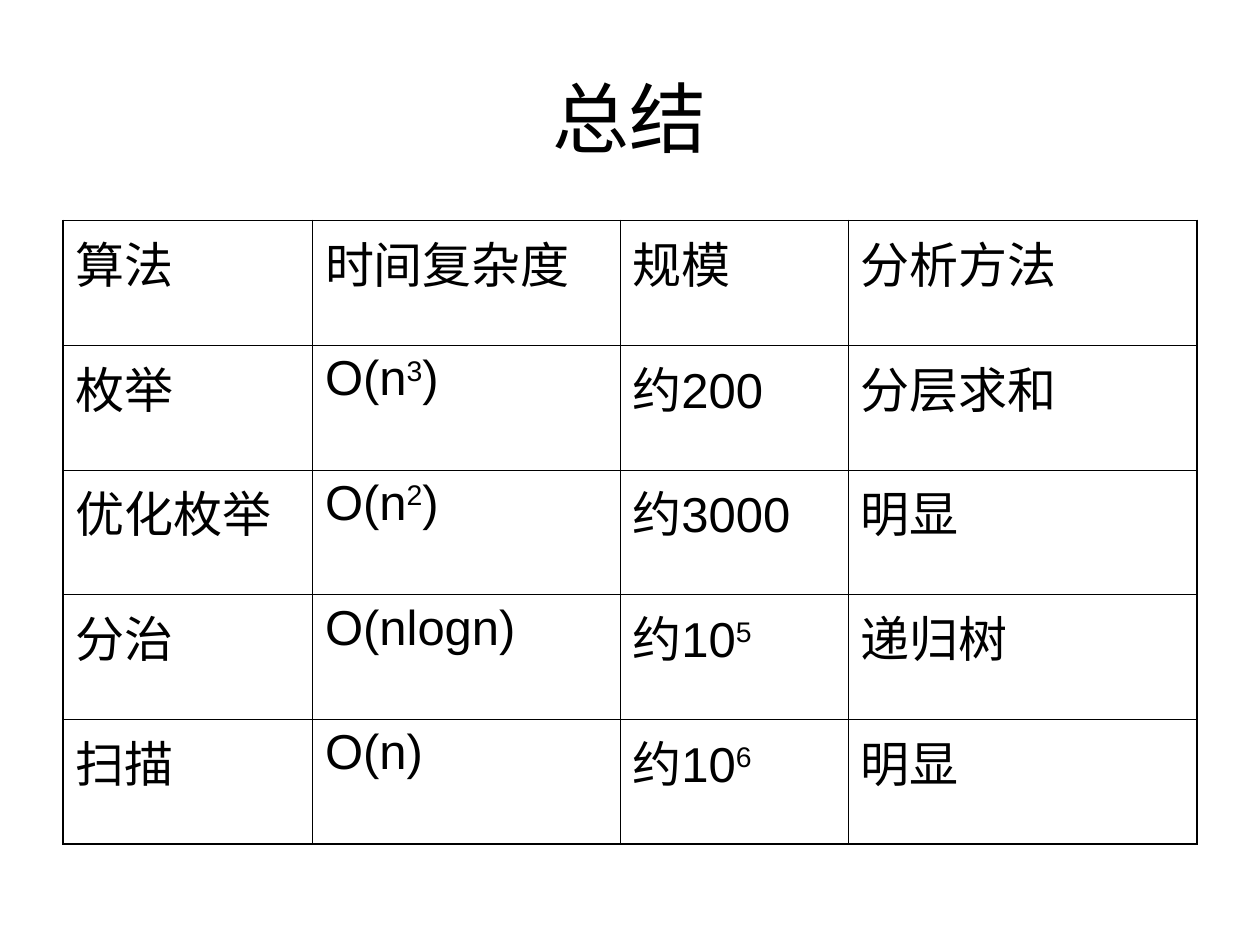
import pptx
import pptx.dml.color
import pptx.enum.text
import pptx.oxml.ns
import pptx.util
import lxml.etree

Pt = pptx.util.Pt
BLACK = pptx.dml.color.RGBColor(0, 0, 0)
FONT = "Arial"
THIN, THICK = 0.45, 1.08
WIDTHS = [142.56, 175.68, 130.32, 199.44]
HEIGHT = 71.28
# Text between two carets is superscript.
ROWS = [
    ["算法", "时间复杂度", "规模", "分析方法"],
    ["枚举", "O(n^3^)", "约200", "分层求和"],
    ["优化枚举", "O(n^2^)", "约3000", "明显"],
    ["分治", "O(nlogn)", "约10^5^", "递归树"],
    ["扫描", "O(n)", "约10^6^", "明显"],
]


def write(para, text, size):
    """Add text as runs, raising each part between carets."""
    for i, part in enumerate(text.split("^")):
        if not part:
            continue
        run = para.add_run()
        run.text = part
        run.font.name = FONT
        run.font.size = Pt(size)
        run.font.color.rgb = BLACK
        if i % 2:
            run._r.get_or_add_rPr().set("baseline", "30000")


def border(cell, side, width):
    props = cell._tc.get_or_add_tcPr()
    name = pptx.oxml.ns.qn
    line = lxml.etree.SubElement(props, name("a:ln" + side), w=str(int(Pt(width))))
    fill = lxml.etree.SubElement(line, name("a:solidFill"))
    lxml.etree.SubElement(fill, name("a:srgbClr"), val=str(BLACK))


deck = pptx.Presentation()
deck.slide_width, deck.slide_height = Pt(720), Pt(540)
slide = deck.slides.add_slide(deck.slide_layouts[6])

title = slide.shapes.add_textbox(Pt(36), Pt(21.6), Pt(648), Pt(90))
frame = title.text_frame
frame.word_wrap = True
frame.vertical_anchor = pptx.enum.text.MSO_ANCHOR.MIDDLE
frame.paragraphs[0].alignment = pptx.enum.text.PP_ALIGN.CENTER
write(frame.paragraphs[0], "总结", 44)

table = slide.shapes.add_table(
    len(ROWS), len(WIDTHS), Pt(36), Pt(126), Pt(sum(WIDTHS)), Pt(HEIGHT * len(ROWS))
).table
table.first_row = False
table.horz_banding = False
for col, width in zip(table.columns, WIDTHS):
    col.width = Pt(width)
for row in table.rows:
    row.height = Pt(HEIGHT)

last_row, last_col = len(ROWS) - 1, len(WIDTHS) - 1
for r, texts in enumerate(ROWS):
    for c, text in enumerate(texts):
        cell = table.cell(r, c)
        para = cell.text_frame.paragraphs[0]
        para.space_before = Pt(7)
        write(para, text, 28)
        edges = {"L": c == 0, "R": c == last_col, "T": r == 0, "B": r == last_row}
        for side, outer in edges.items():
            border(cell, side, THICK if outer else THIN)
        cell.fill.background()

deck.save("out.pptx")
